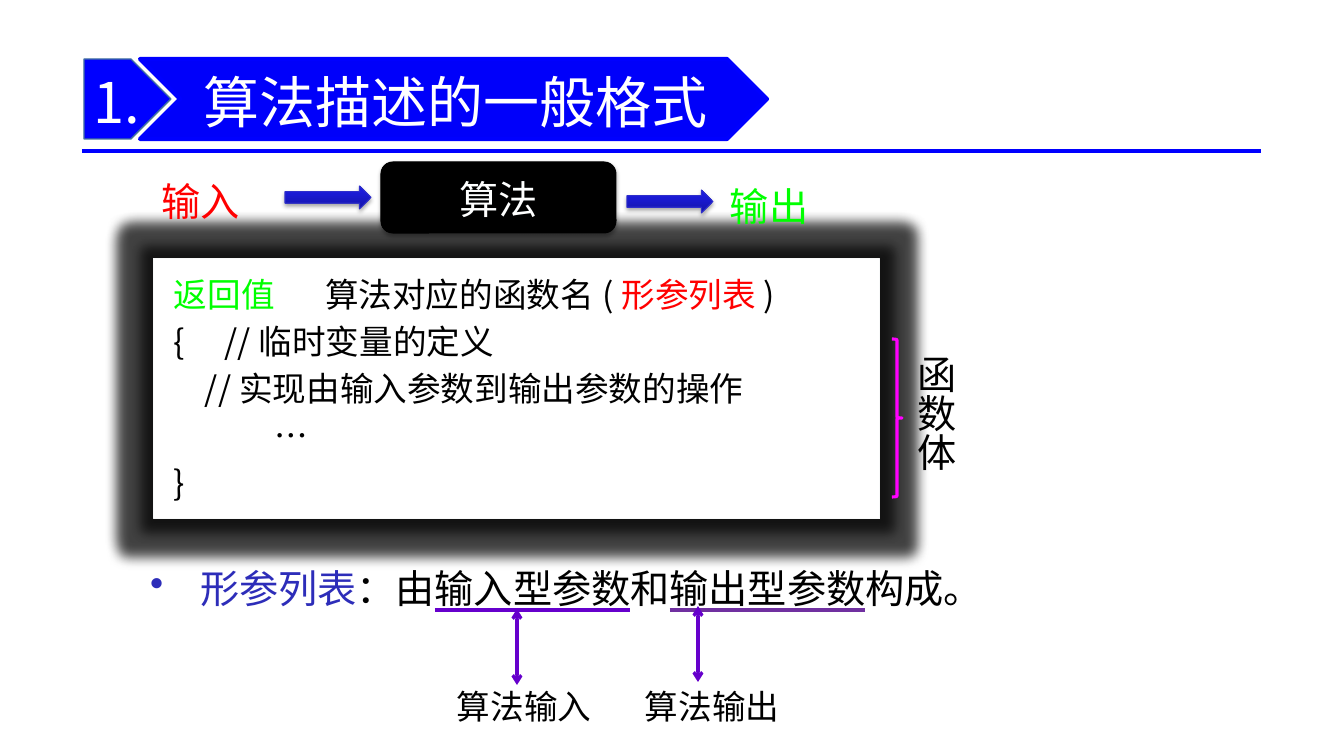
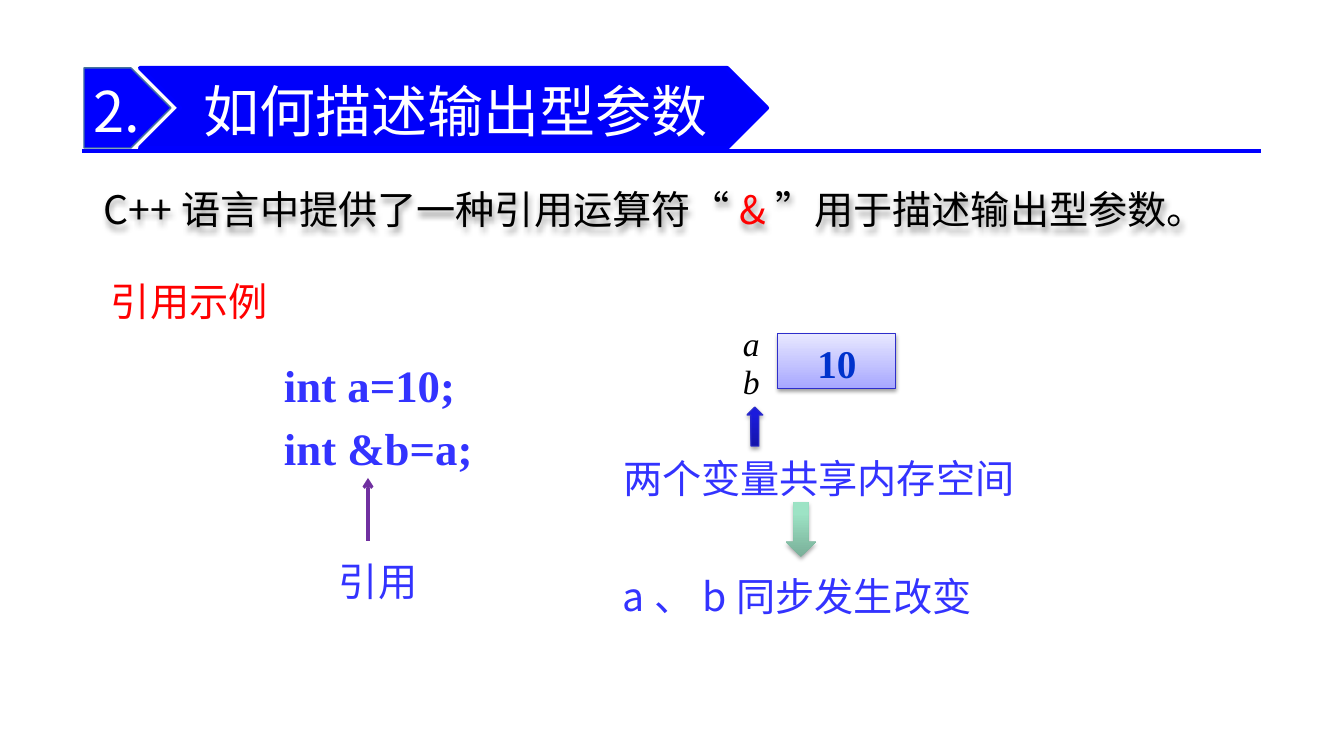
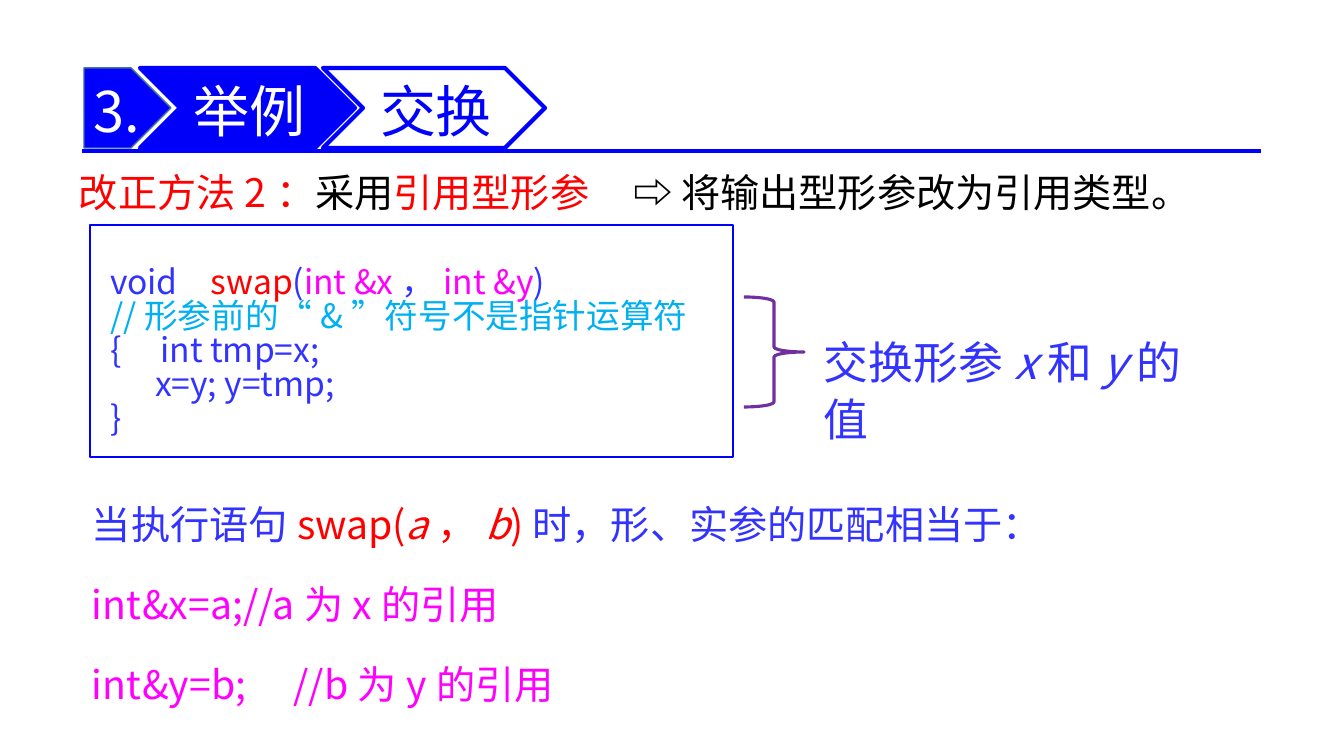
import pptx
import pptx.util
import pptx.dml.color
import pptx.enum.dml
import pptx.enum.shapes
import pptx.enum.text
import pptx.oxml.ns
import lxml.etree

SCALE = 12192000 / 1344
SANS = "Noto Sans CJK SC"
SERIF = "Times New Roman"
BLACK, WHITE = "000000", "FFFFFF"
BLUE, NAVY, INK = "0000FF", "2E2ECB", "3333FF"
RED, GREEN, PINK = "FF0000", "00FF00", "FF00FF"
PURPLE, VIOLET = "7030A0", "6600CC"
BLUE_ARROW = ("1515A9", "1B1BDC", 0.8)
GREEN_ARROW = ("79AF98", "9DE3C5", 0.8)
LILAC_BOX = ("A7A7FF", "E7E7FF", 1)
SOFT_SHADOW = (35, 1.8)
BOX_SHADOW = (38, 1.6)
LINE_HEIGHT = 1.28
PARAGRAPH_GAP = 0.12
SHAPE = pptx.enum.shapes.MSO_SHAPE
ALIGN = pptx.enum.text.PP_ALIGN
ANCHOR = pptx.enum.text.MSO_ANCHOR


def px(value):
    return pptx.util.Emu(round(value * SCALE))


def rgb(value):
    return pptx.dml.color.RGBColor.from_string(value)


def add_xml(parent, tag, **attributes):
    child = lxml.etree.SubElement(parent, pptx.oxml.ns.qn(tag))
    for name, value in attributes.items():
        child.set(name, str(value))
    return child


def line(*runs, **layout):
    return runs, layout


def format_run(run, size, color, font, bold=False, italic=False, underline=None):
    run.font.size = pptx.util.Pt(size)
    run.font.color.rgb = rgb(color)
    run.font.bold = bold
    run.font.italic = italic
    properties = run._r.get_or_add_rPr()
    if underline:
        run.font.underline = pptx.enum.text.MSO_UNDERLINE.HEAVY_LINE
        fill = add_xml(add_xml(properties, "a:uFill"), "a:solidFill")
        add_xml(fill, "a:srgbClr", val=underline)
    add_xml(properties, "a:latin", typeface=font)
    add_xml(properties, "a:ea", typeface=font)


def format_paragraph(paragraph, size, first, align, indent=0, hanging=0, tabs=(), spacing=1):
    paragraph.alignment = align
    paragraph.line_spacing = pptx.util.Pt(round(size * LINE_HEIGHT * spacing, 1))
    paragraph.space_before = pptx.util.Pt(0 if first else round(size * PARAGRAPH_GAP, 1))
    properties = paragraph._p.get_or_add_pPr()
    properties.set("marL", str(px(indent)))
    properties.set("indent", str(px(-hanging)))
    if hanging:
        add_xml(properties, "a:buChar", char="•")
    if tabs:
        stops = add_xml(properties, "a:tabLst")
        for tab in tabs:
            add_xml(stops, "a:tab", pos=px(tab), algn="l")


def write_text(shape, *lines, size=28, color=BLACK, font=SANS, bold=False, italic=False,
               align=ALIGN.LEFT, anchor=ANCHOR.TOP, insets=(10, 5, 10, 5)):
    frame = shape.text_frame
    frame.word_wrap = True
    frame.auto_size = pptx.enum.text.MSO_AUTO_SIZE.NONE
    frame.vertical_anchor = anchor
    (frame.margin_left, frame.margin_top,
     frame.margin_right, frame.margin_bottom) = map(px, insets)
    for number, content in enumerate(lines):
        runs, layout = line(content) if isinstance(content, str) else content
        paragraph = frame.add_paragraph() if number else frame.paragraphs[0]
        format_paragraph(paragraph, size, number == 0, align, **layout)
        for part in runs:
            text, changes = (part, {}) if isinstance(part, str) else part
            run = paragraph.add_run()
            run.text = text
            format_run(run, **{"size": size, "color": color, "font": font,
                               "bold": bold, "italic": italic, **changes})


def add_text(slide, box, *lines, **style):
    shape = slide.shapes.add_textbox(*map(px, box))
    write_text(shape, *lines, **style)
    return shape


def add_effect(shape, shadow=None, glow=None):
    shape.shadow.inherit = False
    effects = shape.element.spPr.find(pptx.oxml.ns.qn("a:effectLst"))

    def add_black(effect, alpha):
        add_xml(add_xml(effect, "a:srgbClr", val=BLACK), "a:alpha", val=alpha * 1000)

    if glow:
        alpha, radius = glow
        add_black(add_xml(effects, "a:glow", rad=pptx.util.Pt(radius)), alpha)
    if shadow:
        alpha, distance = shadow
        add_black(add_xml(effects, "a:outerShdw", blurRad=pptx.util.Pt(3.1),
                          dist=pptx.util.Pt(distance), dir=5400000, rotWithShape=0), alpha)


def add_shape(slide, kind, box, fill=None, outline=None, width=0.75, shadow=None, glow=None):
    shape = slide.shapes.add_shape(kind, *map(px, box))
    add_effect(shape, shadow, glow)
    if fill is None:
        shape.fill.background()
    elif isinstance(fill, str):
        shape.fill.solid()
        shape.fill.fore_color.rgb = rgb(fill)
    else:
        start, end, position = fill
        shape.fill.gradient()
        shape.fill.gradient_angle = 90
        first, last = shape.fill.gradient_stops
        first.color.rgb, last.color.rgb = rgb(start), rgb(end)
        first.position, last.position = 0, position
    if outline:
        shape.line.color.rgb = rgb(outline)
        shape.line.width = pptx.util.Pt(width)
    else:
        shape.line.fill.background()
    return shape


def add_line(slide, start, end, color, width=2.25, heads=()):
    connector = slide.shapes.add_connector(
        pptx.enum.shapes.MSO_CONNECTOR.STRAIGHT, *map(px, start + end))
    connector.line.color.rgb = rgb(color)
    connector.line.width = pptx.util.Pt(width)
    outline = connector.line._get_or_add_ln()
    for head in heads:
        add_xml(outline, head, type="arrow")
    add_xml(connector.element.spPr, "a:effectLst")
    return connector


def add_header(slide, top, number, title, width, topic=None):
    left, height = 84, 80
    badge = add_shape(slide, SHAPE.PENTAGON, (left, top, 87, height), BLUE, "43739E", 1)
    write_text(badge, number, size=40, color=WHITE, anchor=ANCHOR.MIDDLE, insets=(10, 5, 0, 5))
    banner = (left + 56, top, width, height)
    add_shape(slide, SHAPE.CHEVRON, banner, "0000FA", BLUE, 3)
    style = dict(size=40, align=ALIGN.CENTER, anchor=ANCHOR.MIDDLE, insets=(4, 2, 0, 2))
    placeholder = slide.shapes.title
    placeholder.left, placeholder.top, placeholder.width, placeholder.height = map(px, banner)
    write_text(placeholder, title, color=WHITE, **style)
    slide.shapes.element.append(placeholder.element)
    if topic:
        tag = add_shape(slide, SHAPE.CHEVRON,
                        (left + 24 + width, top, 222, height), WHITE, BLUE, 3)
        write_text(tag, topic, color=BLUE, **style)


def add_flow(slide, left, top):
    add_text(slide, (left, top + 7, 134, 57), "输入", color=RED)
    box = add_shape(slide, SHAPE.ROUNDED_RECTANGLE, (left + 230, top, 235, 71),
                    BLACK, BLACK, shadow=SOFT_SHADOW)
    write_text(box, "算法", color="FEFFFF", align=ALIGN.CENTER, anchor=ANCHOR.MIDDLE)
    for offset, drop in ((134, 24), (476, 28)):
        add_shape(slide, SHAPE.RIGHT_ARROW, (left + offset, top + drop, 86, 23),
                  BLUE_ARROW, NAVY, shadow=SOFT_SHADOW)
    add_text(slide, (left + 569, top + 12, 117, 57), "输出", color=GREEN)


def add_format_code(slide, left, top):
    panel = add_shape(slide, SHAPE.RECTANGLE, (left, top, 726, 260), WHITE, "F8F9F9",
                      shadow=BOX_SHADOW, glow=(65, 17))
    write_text(panel,
               line(("返回值", {"color": GREEN}), "\t算法对应的函数名(",
                    ("形参列表", {"color": RED}), ")", tabs=(117,)),
               line("{\t//临时变量的定义", tabs=(42,)),
               line("//实现由输入参数到输出参数的操作", indent=31),
               line("…", indent=101),
               "}",
               size=24, insets=(20, 12, 20, 12))
    add_shape(slide, SHAPE.RIGHT_BRACE, (left + 738, top + 80, 10, 158), outline=PINK, width=2.25)
    label = add_text(slide, (left + 750, top + 91, 68, 151), "函数体")
    label.element.find(".//" + pptx.oxml.ns.qn("a:bodyPr")).set("vert", "eaVert")


def add_parameter_note(slide, left, top):
    add_text(slide, (left, top, 869, 47),
             line(("形参列表", {"color": "2D2DB9"}), "：由",
                  ("输入型参数", {"underline": VIOLET}), "和",
                  ("输出型参数", {"underline": PURPLE}), "构成。",
                  indent=50, hanging=50, spacing=0.73))
    for text, label, arrow, drop in (("算法输入", 307, 377, 39), ("算法输出", 495, 558, 36)):
        add_text(slide, (left + label, top + 108, 157, 50), text, size=24)
        add_line(slide, (left + arrow, top + drop), (left + arrow, top + drop + 76),
                 VIOLET, heads=("a:headEnd", "a:tailEnd"))


def add_reference_code(slide, left, top):
    add_text(slide, (left, top, 239, 130), "int a=10;", "int &b=a;",
             size=32, color=INK, font=SERIF, bold=True)
    add_line(slide, (left + 94, top + 192), (left + 94, top + 129), PURPLE, heads=("a:tailEnd",))
    add_text(slide, (left + 55, top + 200, 117, 57), "引用", color=INK)


def add_memory(slide, left, top):
    for number, name in enumerate("ab"):
        add_text(slide, (left + 130, top + 38 * number, 23, 40), name,
                 size=24, font=SERIF, italic=True, insets=(0, 0, 0, 0))
    cell = add_shape(slide, SHAPE.RECTANGLE, (left + 165, top + 14, 118, 55),
                     LILAC_BOX, NAVY, shadow=BOX_SHADOW)
    write_text(cell, "10", color="0033CC", font=SERIF, bold=True,
               align=ALIGN.CENTER, anchor=ANCHOR.MIDDLE)
    add_shape(slide, SHAPE.UP_ARROW, (left + 134, top + 87, 16, 39),
              BLUE_ARROW, NAVY, shadow=SOFT_SHADOW)
    add_text(slide, (left, top + 126, 425, 57), "两个变量共享内存空间", color=INK)
    add_shape(slide, SHAPE.DOWN_ARROW, (left + 173, top + 182, 30, 55),
              GREEN_ARROW, shadow=SOFT_SHADOW)
    add_text(slide, (left, top + 244, 389, 57), "a、b同步发生改变", color=INK)


def add_swap_code(slide, left, top):
    panel = add_shape(slide, SHAPE.RECTANGLE, (left, top, 643, 232), WHITE, BLUE, 2)
    write_text(panel,
               line("void\t", ("swap", {"color": RED}), "(", ("int &x", {"color": PINK}), "，",
                    ("int &y", {"color": PINK}), ")", tabs=(83,), spacing=1.4),
               line(("//形参前的“&”符号不是指针运算符", {"color": "00B0F0"}), spacing=0.7),
               line("{\tint tmp=x;", tabs=(50,), spacing=0.7),
               line("x=y; y=tmp;", indent=45, spacing=0.7),
               line("}", spacing=0.7),
               size=24, color=INK, insets=(20, 16, 20, 12))
    add_shape(slide, SHAPE.RIGHT_BRACE, (left + 654, top + 72, 60, 110),
              outline=PURPLE, width=2.25)
    slanted = {"italic": True}
    add_text(slide, (left + 724, top + 101, 399, 65),
             line("交换形参", ("x", slanted), "和", ("y", slanted), "的值"), size=32, color=INK)


def add_call_note(slide, left, top):
    red, slanted = {"color": RED}, {"color": RED, "italic": True}
    stops = (67, 212)
    add_text(slide, (left, top, 1074, 243),
             line("当执行语句", ("swap(", red), ("a", slanted), ("，", red), ("b", slanted),
                  (")", red), "时，形、实参的匹配相当于：", spacing=1.5),
             *(line((f"int\t&{formal}={actual};\t//{actual}为{formal}的引用", {"color": PINK}),
                    tabs=stops, spacing=1.5) for formal, actual in ("xa", "yb")),
             color=INK)


def build_format_slide(slide):
    add_format_code(slide, 154, 259)
    add_parameter_note(slide, 140, 570)
    add_flow(slide, 151, 162)
    add_header(slide, 59, "1.", "算法描述的一般格式", 627)


def build_reference_slide(slide):
    add_header(slide, 68, "2.", "如何描述输出型参数", 627)
    statement = add_text(slide, (84, 177, 1175, 57),
                         line("C++语言中提供了一种引用运算符“", ("&", {"color": RED}),
                              "”用于描述输出型参数。", indent=10))
    add_effect(statement, shadow=(38, 3))
    add_reference_code(slide, 274, 349)
    add_text(slide, (101, 269, 211, 57), "引用示例", color=RED)
    add_memory(slide, 613, 320)


def build_swap_slide(slide):
    add_header(slide, 68, "3.", "举例", 215, topic="交换")
    add_swap_code(slide, 90, 225)
    add_text(slide, (69, 160, 1190, 57),
             line(("改正方法2：", {"color": RED}), "采用", ("引用型形参", {"color": RED}),
                  ("\t⇨ ", {"font": "Calibri", "bold": True}),
                  "将输出型形参改为引用类型。", tabs=(528,)))
    add_call_note(slide, 82, 467)


def main():
    presentation = pptx.Presentation()
    presentation.slide_width, presentation.slide_height = px(1344), px(756)
    layout = presentation.slide_layouts[5]
    for number, build in enumerate((build_format_slide, build_reference_slide, build_swap_slide)):
        slide = presentation.slides.add_slide(layout)
        if number == 0:
            rule = add_line(slide, (82, 151), (1261, 151), BLUE, 3)
            layout.shapes.element.append(rule.element)
        build(slide)
    presentation.save("out.pptx")


if __name__ == "__main__":
    main()
